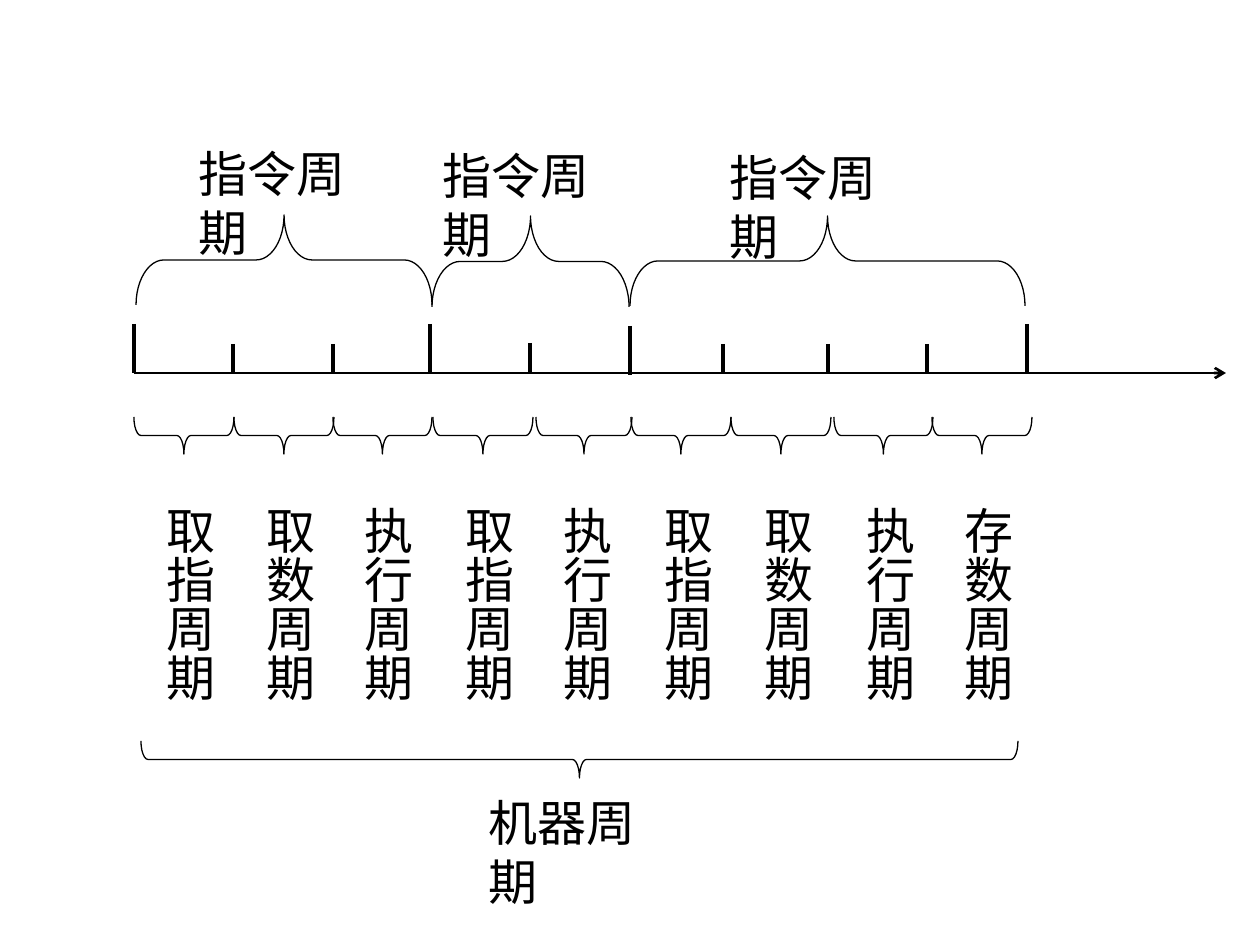
from pptx import Presentation
from pptx.dml.color import RGBColor
from pptx.enum.shapes import MSO_CONNECTOR, MSO_SHAPE
from pptx.enum.text import MSO_AUTO_SIZE
from pptx.oxml.ns import qn
from pptx.util import Emu, Pt
from lxml.etree import SubElement

PX = 914400 / 126
BLACK = RGBColor(0, 0, 0)
FONT = "Noto Sans CJK SC"

# Instruction cycles: label, label left and top, brace left, top, width and height
INSTRUCTIONS = [
    ("指令周期", 186, 137, 136, 215, 296, 90),
    ("指令周期", 430, 139, 432, 216, 197, 91),
    ("指令周期", 717, 141, 630, 216, 395, 90),
]
# Machine cycles: label, label left, brace left, brace width
PHASES = [
    ("取指周期", 142, 134, 100),
    ("取数周期", 242, 234, 100),
    ("执行周期", 340, 333, 99),
    ("取指周期", 441, 433, 100),
    ("执行周期", 539, 536, 96),
    ("取指周期", 640, 631, 100),
    ("取数周期", 740, 731, 100),
    ("执行周期", 842, 834, 99),
    ("存数周期", 940, 932, 100),
]
# Ticks along the axis: x, whether an instruction starts or ends there, y shift
TICKS = [
    (0, True, 0), (99, False, 0), (199, False, 0), (296, True, 0), (396, False, -1),
    (496, True, 2), (589, False, 0), (694, False, 0), (793, False, 0), (893, True, 0),
]


def px(length):
    return Emu(round(length * PX))


def add_line(slide, x1, y1, x2, y2, points):
    line = slide.shapes.add_connector(MSO_CONNECTOR.STRAIGHT, px(x1), px(y1), px(x2), px(y2))
    line.line.color.rgb = BLACK
    line.line.width = Pt(points)
    SubElement(line._element.spPr, qn("a:effectLst"))
    return line


def add_brace(slide, left, top, width, height, rotation, curve):
    """Fill the given box with a left brace turned on its side: 90 points up, 270 down."""
    center_x, center_y = left + width / 2, top + height / 2
    brace = slide.shapes.add_shape(
        MSO_SHAPE.LEFT_BRACE,
        px(center_x - height / 2), px(center_y - width / 2), px(height), px(width))
    brace.rotation = rotation
    brace.adjustments[0] = curve
    brace.shadow.inherit = False
    brace.fill.background()
    brace.line.color.rgb = BLACK
    brace.line.width = Pt(0.75)


def add_label(slide, text, left, top, width, height, vertical=False):
    frame = slide.shapes.add_textbox(px(left), px(top), px(width), px(height)).text_frame
    frame.word_wrap = False
    frame.auto_size = MSO_AUTO_SIZE.SHAPE_TO_FIT_TEXT
    if vertical:
        frame._txBody.bodyPr.set("vert", "eaVert")
        frame.margin_left = frame.margin_right = Pt(3.6)
        frame.margin_top = frame.margin_bottom = Pt(7.2)
    paragraph = frame.paragraphs[0]
    paragraph.text = text
    font = paragraph.font
    font.size = Pt(28)
    font.color.rgb = BLACK
    font.name = FONT
    east_asian = SubElement(paragraph._p.pPr.find(qn("a:defRPr")), qn("a:ea"))
    east_asian.set("typeface", FONT)


def add_timeline(slide, left, top, width, height):
    """Draw the time axis along the bottom of the box, with its ticks above."""
    axis_y = top + height
    axis = add_line(slide, left, axis_y, left + width, axis_y, 1.5)
    SubElement(axis.line._get_or_add_ln(), qn("a:tailEnd")).set("type", "arrow")
    for x, is_boundary, shift in TICKS:
        tick_height = height if is_boundary else 29
        add_line(slide, left + x, axis_y - tick_height + shift,
                 left + x, axis_y + shift, 2.25)


def add_instruction(slide, text, label_left, label_top, left, top, width, height):
    add_brace(slide, left, top, width, height, 90, 0.31)
    add_label(slide, text, label_left, label_top, 220, 72)


def add_phase(slide, text, label_left, left, top, width):
    add_brace(slide, left, top, width, 37, 270, 0.19)
    add_label(slide, text, label_left, top + 77, 83, 209, vertical=True)


def add_machine_cycle(slide, left, top, width):
    add_brace(slide, left, top, width, 37, 270, 0.19)
    add_label(slide, "机器周期", left + 335, top + 45, 220, 72)


def main():
    presentation = Presentation()
    presentation.slide_width, presentation.slide_height = px(1260), px(945)
    slide = presentation.slides.add_slide(presentation.slide_layouts[6])
    add_timeline(slide, 134, 324, 1092, 49)
    for instruction in INSTRUCTIONS:
        add_instruction(slide, *instruction)
    for text, label_left, left, width in PHASES:
        add_phase(slide, text, label_left, left, 417, width)
    add_machine_cycle(slide, 141, 741, 877)
    presentation.save("out.pptx")


if __name__ == "__main__":
    main()
